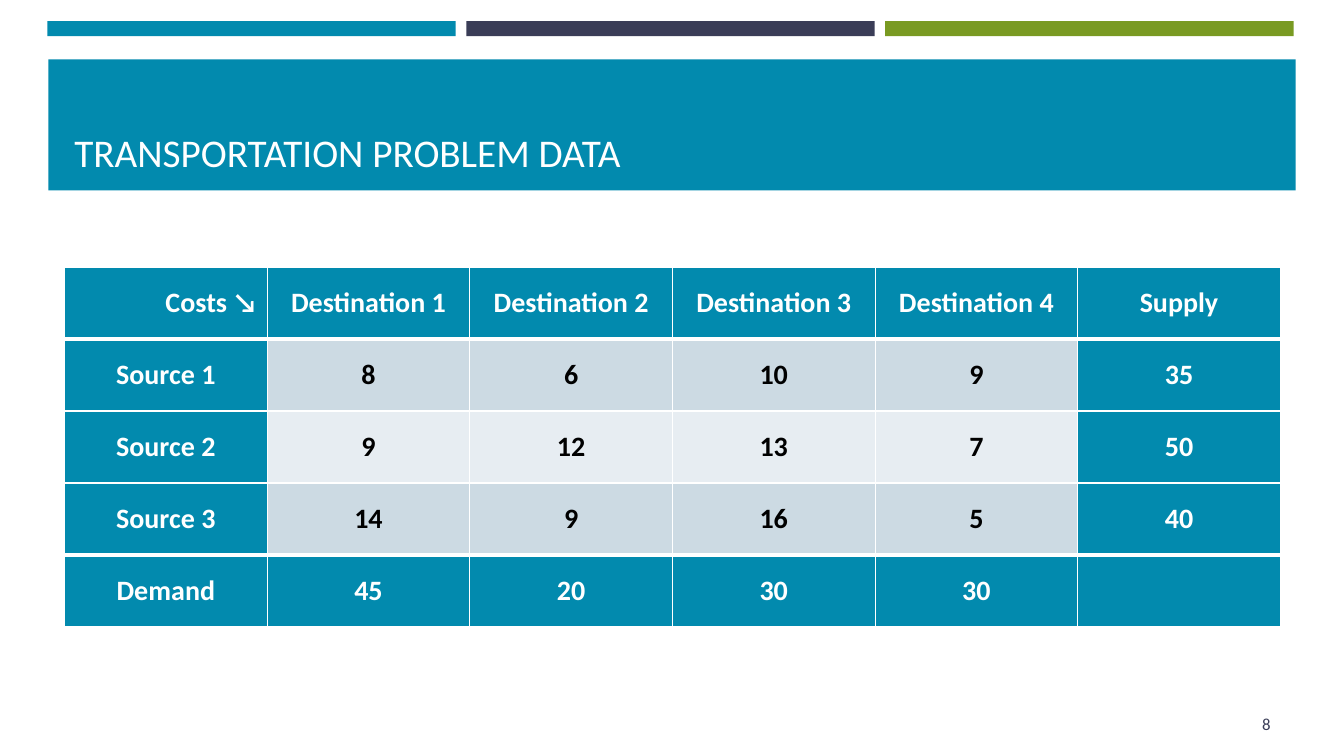
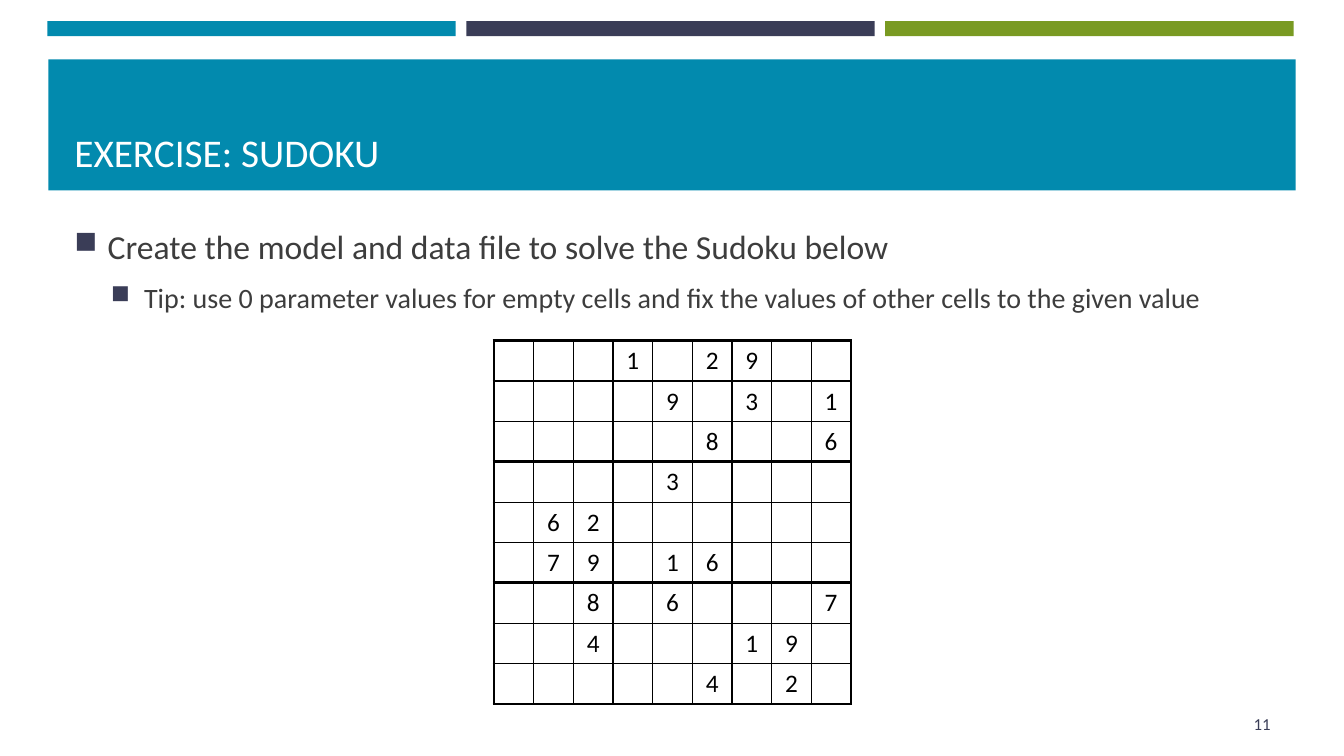
from dataclasses import dataclass

from lxml.etree import SubElement as Sub
from pptx import Presentation
from pptx.dml.color import RGBColor as RGB
from pptx.enum.shapes import MSO_SHAPE as Shape
from pptx.enum.text import MSO_ANCHOR as Anchor, PP_ALIGN as Align
from pptx.oxml.ns import qn
from pptx.util import Inches, Pt


@dataclass(frozen=True)
class Theme:
    """Colours, font and type sizes of the deck."""
    teal: str = "028AAE"
    navy: str = "3A3D57"
    green: str = "799A22"
    white: str = "FFFFFF"
    black: str = "000000"
    text: str = "3D3D3D"
    odd: str = "CCDAE3"
    even: str = "E7EDF2"
    font: str = "Calibri"
    title: int = 28
    lead: int = 24
    sub: int = 20
    digit: int = 18
    note: int = 12


LOOK = Theme()
LEFT, WIDE = 0.64, 12.06


def put(obj, vals):
    """Set attributes from a dict of format values."""
    for name, val in vals.items():
        setattr(obj, name, val)


def write(par, text, size, color, bold=False, **form):
    """Write one run and format its paragraph."""
    put(par, form)
    run = par.add_run()
    run.text = text
    put(run.font, {"name": LOOK.font, "size": Pt(size), "bold": bold})
    run.font.color.rgb = RGB.from_string(color)


def bullet(par, left, hang):
    """Give a paragraph a square bullet and a hanging indent."""
    props = par._p.get_or_add_pPr()
    props.set("marL", str(Inches(left)))
    props.set("indent", str(-Inches(hang)))
    Sub(Sub(props, qn("a:buClr")), qn("a:srgbClr"), val=LOOK.navy)
    Sub(props, qn("a:buSzPct"), val="92000")
    Sub(props, qn("a:buChar"), char="■")


def edge(cell, color, widths):
    """Draw the left, right, top and bottom borders of a cell."""
    props = cell._tc.get_or_add_tcPr()
    for side, width in zip("LRTB", widths):
        line = Sub(props, qn(f"a:ln{side}"), w=str(Pt(width)))
        Sub(Sub(line, qn("a:solidFill")), qn("a:srgbClr"), val=color)


class Deck:
    """The presentation, its style and the current slide."""

    def __init__(self):
        """Start a wide deck."""
        self.show = Presentation()
        put(self.show, {"slide_width": Inches(13.33),
                        "slide_height": Inches(7.5)})

    def page(self, title, num):
        """Add a slide with bands, title and number."""
        self.slide = self.show.slides.add_slide(self.show.slide_layouts[6])
        for i, color in enumerate((LOOK.teal, LOOK.navy, LOOK.green)):
            self.rect(0.47 + i * 4.155, 0.21, 4.05, 0.15, color)
        self.rect(0.48, 0.59, 12.37, 1.3, LOOK.teal)
        head = self.box(LEFT, 0.7, WIDE, 1.09, Anchor.BOTTOM)
        write(head.paragraphs[0], title, LOOK.title, LOOK.white)
        foot = self.box(11.55, 6.98, 1.15, 0.4)
        write(foot.paragraphs[0], num, LOOK.note, LOOK.navy,
              alignment=Align.RIGHT)

    def rect(self, x, y, w, h, color):
        """Add a plain filled rectangle."""
        area = map(Inches, (x, y, w, h))
        band = self.slide.shapes.add_shape(Shape.RECTANGLE, *area)
        band.shadow.inherit = False
        band.fill.solid()
        band.fill.fore_color.rgb = RGB.from_string(color)
        band.line.fill.background()

    def box(self, x, y, w, h, anchor=Anchor.MIDDLE):
        """Add a text box and return its frame."""
        area = map(Inches, (x, y, w, h))
        frame = self.slide.shapes.add_textbox(*area).text_frame
        put(frame, {"word_wrap": True, "vertical_anchor": anchor})
        return frame

    def points(self, x, y, w, h, items):
        """Add bullets from pairs of level and text."""
        frame = self.box(x, y, w, h)
        for i, (level, text) in enumerate(items):
            par = frame.add_paragraph() if i else frame.paragraphs[0]
            size = (LOOK.lead, LOOK.sub)[level]
            write(par, text, size, LOOK.text, level=level,
                  space_before=Pt(size * 0.2), space_after=Pt(6))
            bullet(par, 0.33 + 0.36 * level, 0.33)

    def table(self, x, y, w, h, rows, style):
        """Add a table; style gives each cell its format by row and column."""
        down, over = len(rows), len(rows[0])
        area = map(Inches, (x, y, w, h))
        grid = self.slide.shapes.add_table(down, over, *area).table
        put(grid, {"first_row": False, "horz_banding": False})
        for r, row in enumerate(rows):
            for c, text in enumerate(row):
                form = style(r, c)
                cell = grid.cell(r, c)
                cell.vertical_anchor = Anchor.MIDDLE
                edge(cell, form["line"], form["widths"])
                cell.fill.solid()
                cell.fill.fore_color.rgb = RGB.from_string(form["fill"])
                if text:
                    write(cell.text_frame.paragraphs[0], text, **form["font"])


def cost(r, c):
    """Format a cost cell: teal rim, banded body."""
    rim = r in (0, 4) or c in (0, 5)
    fill = LOOK.teal if rim else LOOK.odd if r % 2 else LOOK.even
    return {"fill": fill, "line": LOOK.white,
            "widths": (1, 1, 3 if r == 4 else 1, 3 if r == 0 else 1),
            "font": {"size": LOOK.sub, "bold": True,
                     "color": LOOK.white if rim else LOOK.black,
                     "alignment": Align.CENTER if r or c else Align.RIGHT}}


def square(r, c):
    """Format a Sudoku cell: thick lines around each block of nine."""
    ends = (c % 3 == 0, c % 3 == 2, r % 3 == 0, r % 3 == 2)
    return {"fill": LOOK.white, "line": LOOK.black,
            "widths": [2.25 if end else 1 for end in ends],
            "font": {"size": LOOK.digit, "color": LOOK.black,
                     "alignment": Align.CENTER}}


COSTS = [
    ["Costs ↘", *(f"Destination {n}" for n in range(1, 5)), "Supply"],
    ["Source 1", "8", "6", "10", "9", "35"],
    ["Source 2", "9", "12", "13", "7", "50"],
    ["Source 3", "14", "9", "16", "5", "40"],
    ["Demand", "45", "20", "30", "30", ""],
]
SUDOKU = """
...1.29..
....9.3.1
.....8..6
....3....
.62......
.79.16...
..8.6...7
..4...19.
.....4.2.
""".split()

deck = Deck()

deck.page("TRANSPORTATION PROBLEM DATA", "8")
deck.table(LEFT, 2.65, WIDE, 3.57, COSTS, cost)

deck.page("EXERCISE: SUDOKU", "11")
deck.points(LEFT, 1.98, WIDE, 1.4, [
    (0, "Create the model and data file to solve the Sudoku below"),
    (1, "Tip: use 0 parameter values for empty cells and fix the values"
        " of other cells to the given value"),
])
digits = [[d.strip(".") for d in row] for row in SUDOKU]
deck.table(4.9, 3.38, 3.54, 3.6, digits, square)

deck.show.save("out.pptx")
